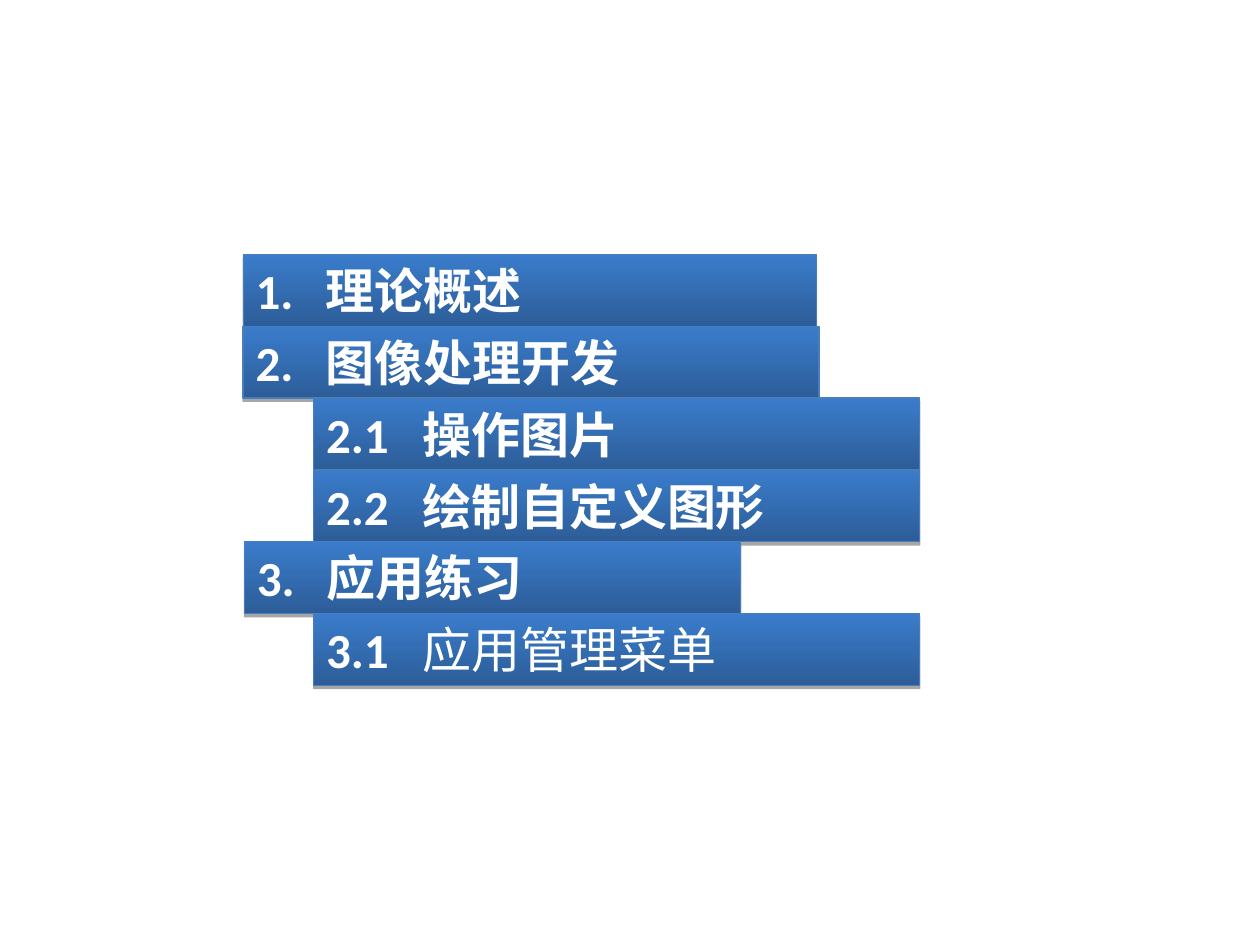
from dataclasses import dataclass
from typing import Any

import lxml.etree
import pptx
import pptx.dml.color
import pptx.enum.shapes
import pptx.enum.text
import pptx.oxml
import pptx.oxml.ns
import pptx.slide
import pptx.text.text
import pptx.util

Pt = pptx.util.Pt
RGBColor = pptx.dml.color.RGBColor

DARK_BLUE = RGBColor(0x2C, 0x5D, 0x98)
BRIGHT_BLUE = RGBColor(0x3A, 0x7C, 0xCB)
EDGE_BLUE = RGBColor(0x4A, 0x7E, 0xBB)
WHITE = RGBColor(0xFF, 0xFF, 0xFF)
SHADOW_BLACK = RGBColor(0, 0, 0)

FIRST_TOP = 145.44
BAR_HEIGHT = 41.04
CHAPTER_TAB = 40
SECTION_TAB = 55
SECTION_LEFT = 179.28
SECTION_WIDTH = 346.32

FRAME_FORMAT = {
    "margin_left": Pt(7.2),
    "margin_right": Pt(7.2),
    "margin_top": Pt(3.6),
    "margin_bottom": Pt(3.6),
    "word_wrap": True,
    "vertical_anchor": pptx.enum.text.MSO_ANCHOR.TOP,
    "auto_size": pptx.enum.text.MSO_AUTO_SIZE.SHAPE_TO_FIT_TEXT,
}
FONT_FORMAT = {"name": "Calibri", "size": Pt(28)}


@dataclass(frozen=True)
class AgendaBar:
    number: str
    title: str
    left: float = SECTION_LEFT
    width: float = SECTION_WIDTH
    tab: float = SECTION_TAB
    bold_title: bool = True


AGENDA = [
    AgendaBar("1.", "理论概述", 138.96, 327.6, CHAPTER_TAB),
    AgendaBar("2.", "图像处理开发", 138.96, 329.04, CHAPTER_TAB),
    AgendaBar("2.1", "操作图片"),
    AgendaBar("2.2", "绘制自定义图形"),
    AgendaBar("3.", "应用练习", 139.68, 283.68, CHAPTER_TAB),
    AgendaBar("3.1", "应用管理菜单", bold_title=False),
]


def apply_format(target: Any, values: dict[str, Any]) -> None:
    for name, value in values.items():
        setattr(target, name, value)


def add_shadow(box: Any) -> None:
    box.shadow.inherit = False
    effects = box._element.spPr.find(pptx.oxml.ns.qn("a:effectLst"))
    effects.append(pptx.oxml.parse_xml(
        f'<a:outerShdw {pptx.oxml.ns.nsdecls("a")} blurRad="0" dist="{Pt(1.8)}" '
        f'dir="5400000" rotWithShape="0"><a:srgbClr val="{SHADOW_BLACK}">'
        '<a:alpha val="35000"/></a:srgbClr></a:outerShdw>'
    ))


def add_tab_stop(para: pptx.text.text._Paragraph, position: float) -> None:
    qn = pptx.oxml.ns.qn
    tabs = lxml.etree.SubElement(para._p.get_or_add_pPr(), qn("a:tabLst"))
    lxml.etree.SubElement(tabs, qn("a:tab"), pos=str(Pt(position)), algn="l")


def add_span(para: pptx.text.text._Paragraph, text: str, bold: bool) -> None:
    span = para.add_run()
    span.text = text
    apply_format(span.font, {**FONT_FORMAT, "bold": bold})
    span.font.color.rgb = WHITE


def draw_bar(page: pptx.slide.Slide, bar: AgendaBar, top: float) -> None:
    box = page.shapes.add_shape(
        pptx.enum.shapes.MSO_SHAPE.RECTANGLE,
        Pt(bar.left), Pt(top), Pt(bar.width), Pt(BAR_HEIGHT),
    )
    box.fill.gradient()
    box.fill.gradient_angle = 90
    for stop, color in zip(box.fill.gradient_stops, (DARK_BLUE, BRIGHT_BLUE)):
        stop.color.rgb = color
    box.line.color.rgb = EDGE_BLUE
    box.line.width = Pt(0.75)
    add_shadow(box)

    apply_format(box.text_frame, FRAME_FORMAT)
    para = box.text_frame.paragraphs[0]
    para.alignment = pptx.enum.text.PP_ALIGN.LEFT
    add_tab_stop(para, bar.tab)
    add_span(para, f"{bar.number}\t", True)
    add_span(para, bar.title, bar.bold_title)


def main() -> None:
    deck = pptx.Presentation()
    apply_format(deck, {"slide_width": Pt(720), "slide_height": Pt(540)})
    page = deck.slides.add_slide(deck.slide_layouts[6])
    for row, bar in enumerate(AGENDA):
        draw_bar(page, bar, FIRST_TOP + row * BAR_HEIGHT)
    deck.save("out.pptx")


if __name__ == "__main__":
    main()
